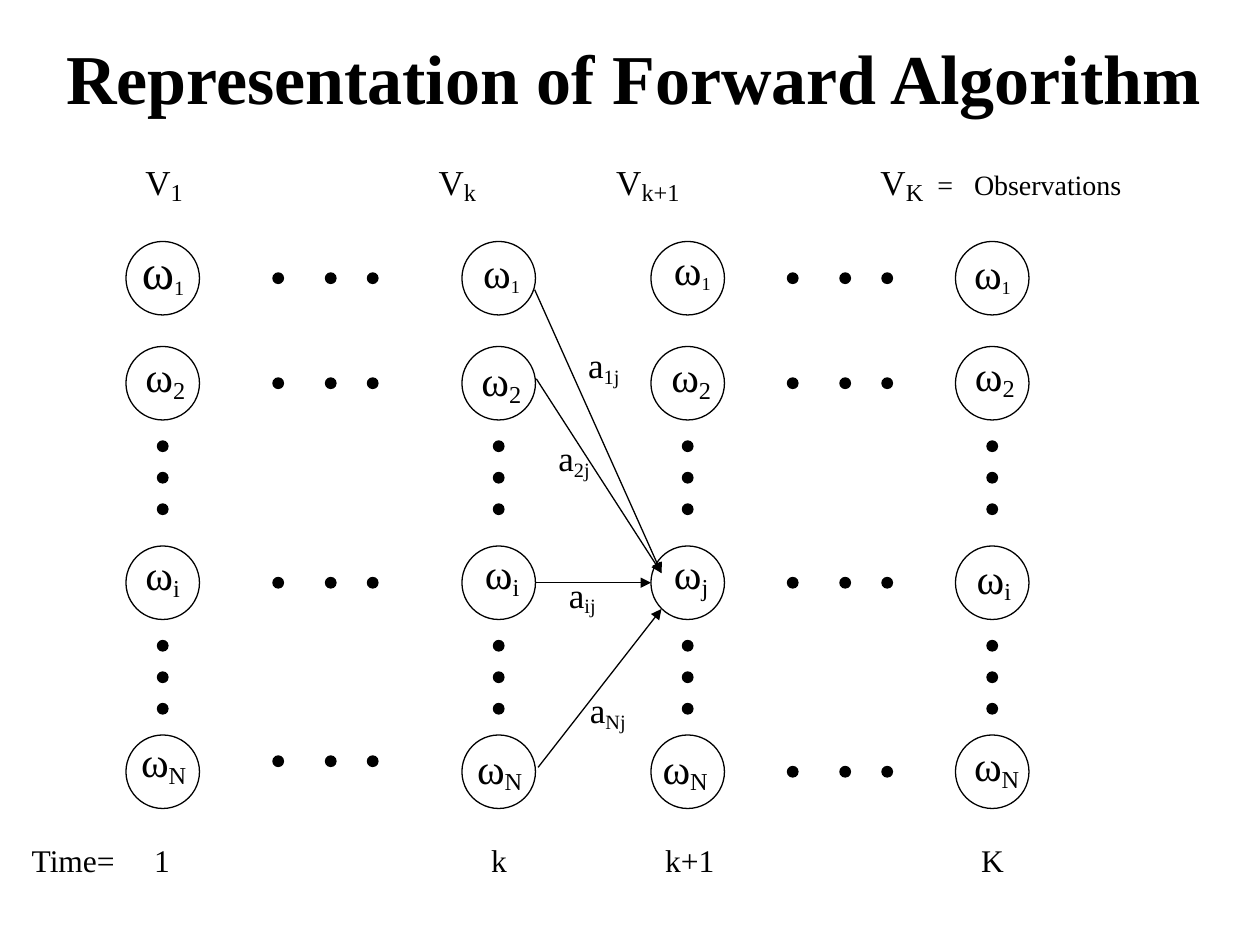
from lxml import etree
from pptx import Presentation
from pptx.dml.color import RGBColor
from pptx.enum.shapes import MSO_CONNECTOR, MSO_SHAPE
from pptx.enum.text import MSO_ANCHOR, MSO_AUTO_SIZE, PP_ALIGN
from pptx.oxml.ns import qn
from pptx.util import Pt

COLORS = {"ink": "000000"}
INK = RGBColor.from_string(COLORS["ink"])
FONT = "Times New Roman"
NODE, DOT = 42, 6
DOT_INSET = (NODE - DOT) / 2


def add_circle(shapes, left, top, size, filled=False):
    circle = shapes.add_shape(MSO_SHAPE.OVAL, Pt(left), Pt(top), Pt(size), Pt(size))
    circle.shadow.inherit = False
    circle.line.color.rgb = INK
    circle.line.width = Pt(0.75)
    if filled:
        circle.fill.solid()
        circle.fill.fore_color.rgb = INK
    else:
        circle.fill.background()


def add_label(shapes, left, top, width, height, parts, tabs=()):
    label = shapes.add_textbox(Pt(left), Pt(top), Pt(width), Pt(height))
    frame = label.text_frame
    frame.word_wrap = bool(tabs)
    frame.auto_size = MSO_AUTO_SIZE.SHAPE_TO_FIT_TEXT
    paragraph = frame.paragraphs[0]
    if tabs:
        tab_list = etree.SubElement(paragraph._p.get_or_add_pPr(), qn("a:tabLst"))
        for tab in tabs:
            etree.SubElement(tab_list, qn("a:tab"), pos=str(Pt(tab)), algn="l")
    for text, size, is_subscript in parts:
        run = paragraph.add_run()
        run.text = text
        run.font.name = FONT
        run.font.size = Pt(size)
        run.font.color.rgb = INK
        if is_subscript:
            run._r.get_or_add_rPr().set("baseline", "-16000")


prs = Presentation()
prs.slide_width, prs.slide_height = Pt(720), Pt(540)
slide = prs.slides.add_slide(prs.slide_layouts[5])

title = slide.shapes.title
title.left, title.top, title.width, title.height = Pt(27), Pt(-1.5), Pt(670), Pt(90)
title.text_frame.text = "Representation of Forward Algorithm"
title.text_frame.vertical_anchor = MSO_ANCHOR.MIDDLE
heading = title.text_frame.paragraphs[0]
heading.alignment = PP_ALIGN.CENTER
heading_font = heading.runs[0].font
heading_font.name, heading_font.size, heading_font.bold = FONT, Pt(40), True
heading_font.color.rgb = INK

ROW_TOPS = [138, 198, 312, 420]
STATE_WIDTH, STATE_HEIGHT = 43, 37
TIME_STEPS = [
    (72, "12iN", (28, 20), [(74, 134), (76, 197), (76, 310), (73.5, 417)]),
    (264, "12iN", (24, 18), [(269, 137.5), (268, 199), (270, 309.5), (265.5, 420.5)]),
    (372, "12jN", (24, 18), [(378, 135.5), (376.5, 197), (378, 309.5), (371.5, 420.5)]),
    (546, "12iN", (24, 18), [(549.5, 138), (550, 196), (551, 312), (549.5, 419)]),
]
for left, states, first_sizes, places in TIME_STEPS:
    column = slide.shapes.add_group_shape().shapes
    for row, state in enumerate(states):
        add_circle(column, left, ROW_TOPS[row], NODE)
        omega_size, index_size = first_sizes if row == 0 else (24, 24)
        add_label(column, *places[row], STATE_WIDTH, STATE_HEIGHT,
                  [("ω", omega_size, False), (state, index_size, True)])
    for first_top in (252, 366):
        for step in range(3):
            add_circle(column, left + DOT_INSET, first_top + 18 * step, DOT, filled=True)

for first_left, last_top in ((156, 432), (450, 438)):
    for top in [row_top + DOT_INSET for row_top in ROW_TOPS[:3]] + [last_top]:
        ellipsis = slide.shapes.add_group_shape().shapes
        for offset in (0, 30, 54):
            add_circle(ellipsis, first_left + offset, top, DOT, filled=True)

TRANSITIONS = [
    ("1j", (305.5, 165.5), (378, 327.5), (329, 193)),
    ("2j", (306.5, 216.5), (378, 327.5), (312, 246)),
    ("ij", (306, 333), (372, 333), (318, 324)),
    ("Nj", (307.5, 438.5), (378, 348), (330, 390)),
]
for index, start, end, place in TRANSITIONS:
    arrow = slide.shapes.add_connector(
        MSO_CONNECTOR.STRAIGHT, *(Pt(value) for value in start + end))
    arrow.line.color.rgb = INK
    arrow.line.width = Pt(0.75)
    etree.SubElement(arrow.line._get_or_add_ln(), qn("a:tailEnd"), type="triangle")
    etree.SubElement(arrow._element.spPr, qn("a:effectLst"))
    add_label(slide.shapes, *place, 39, 31, [("a", 20, False), (index, 20, True)])

add_label(slide.shapes, 11, 477, 580, 29,
          [("Time=\t1\tk\tk+1\tK", 18, False)], tabs=(70, 262.5, 362, 542.5))

observations = []
for index in ("1", "k", "k+1", "K"):
    observations += [("\tV", 20, False), (index, 24, True)]
observations.append(("\t=\tObservations", 16, False))
add_label(slide.shapes, 60, 84, 660, 32, observations,
          tabs=(16, 183.5, 285, 436, 468.5, 489.5))

prs.save("out.pptx")
